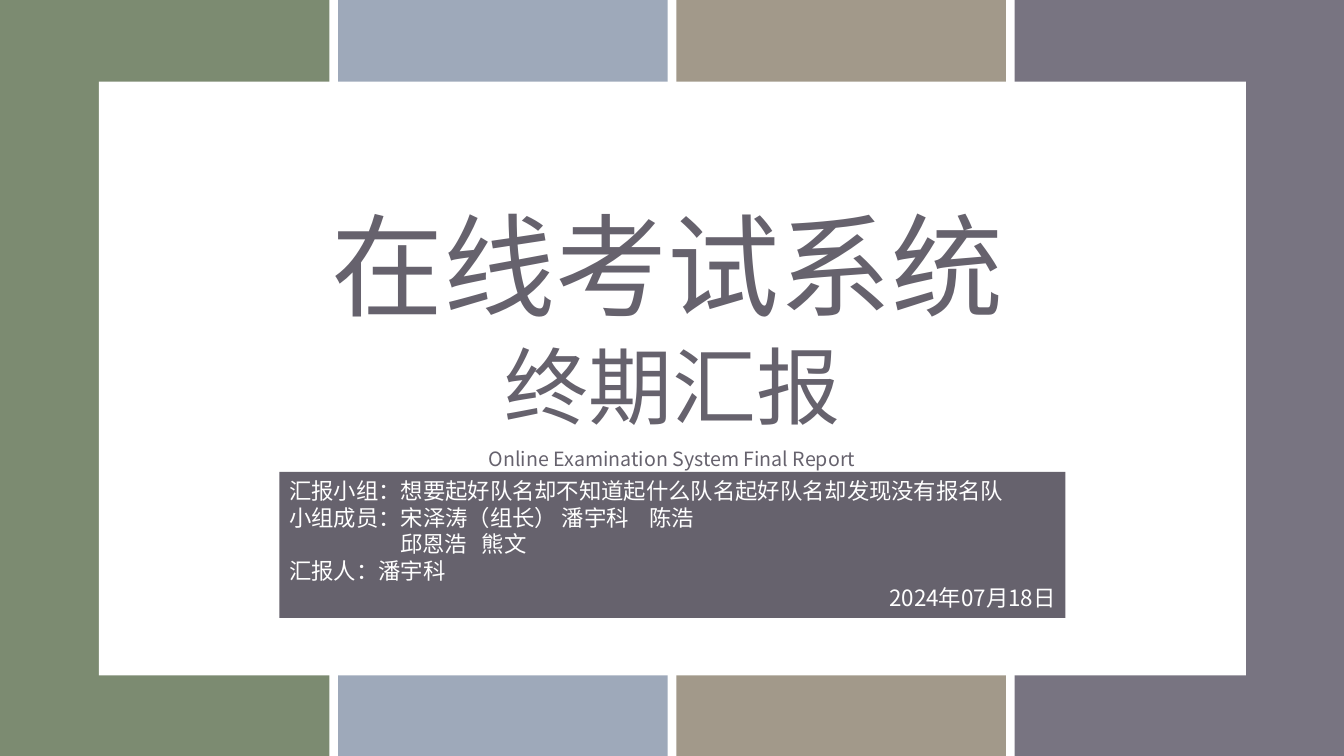
from dataclasses import dataclass

from lxml import etree
from pptx import Presentation
from pptx.dml.color import RGBColor as RGB
from pptx.enum.shapes import MSO_SHAPE as Shp
from pptx.enum.text import MSO_ANCHOR as Anchor, MSO_AUTO_SIZE as Fit, PP_ALIGN as Al
from pptx.oxml.ns import qn
from pptx.util import Cm, Pt

FONT = "Noto Sans CJK SC"
COLORS = {
    "green": "7C8B71",
    "blue": "9EA9BA",
    "sand": "A2998A",
    "mauve": "787481",
    "ink": "66626D",
    "white": "FFFFFF",
}
STRIPES = ["green", "blue", "sand", "mauve"]
SLIDE_W, SLIDE_H = 33.87, 19.05
GAP = 0.22


@dataclass
class Box:
    left: float
    top: float
    width: float
    height: float


@dataclass
class Line:
    text: str
    size: float
    color: str = "ink"
    align: Al = Al.CENTER
    spacing: float = 1.2
    tabs: tuple[float, ...] = ()


PANEL = Box(2.49, 2.06, 28.91, 14.96)
TITLE = Box(8.1, 4.83, 17.73, 3.68)
SUBTITLE = Box(4.8, 8.31, 24.28, 2.82)
TEAM = Box(7.04, 11.89, 19.81, 3.68)
ENGLISH = Box(4.8, 10.85, 24.28, 1.07)

TEAM_LINES = [
    Line("汇报小组：想要起好队名却不知道起什么队名起好队名却发现没有报名队", 16, "white", Al.LEFT),
    Line("小组成员：宋泽涛（组长） 潘宇科\t陈浩", 16, "white", Al.LEFT, tabs=(9.07,)),
    Line("\t邱恩浩\t熊文", 16, "white", Al.LEFT, tabs=(2.8, 4.85)),
    Line("汇报人：潘宇科", 16, "white", Al.LEFT),
    Line("2024年07月18日", 16, "white", Al.RIGHT),
]


def place(sp, box: Box) -> None:
    sp.left, sp.top = Cm(box.left), Cm(box.top)
    sp.width, sp.height = Cm(box.width), Cm(box.height)


def add_rect(shapes, box: Box, color: str):
    sp = shapes.add_shape(Shp.RECTANGLE, Cm(box.left), Cm(box.top), Cm(box.width), Cm(box.height))
    sp.shadow.inherit = False
    sp.fill.solid()
    sp.fill.fore_color.rgb = RGB.from_string(COLORS[color])
    sp.line.fill.background()
    return sp


def add_tabs(p, stops: tuple[float, ...]) -> None:
    tab_list = etree.SubElement(p._p.get_or_add_pPr(), qn("a:tabLst"))
    for stop in stops:
        etree.SubElement(tab_list, qn("a:tab"), pos=str(Cm(stop)), algn="l")


def write(sp, lines: list[Line]) -> None:
    tf = sp.text_frame
    tf.word_wrap = True
    tf.auto_size = Fit.NONE
    tf.vertical_anchor = Anchor.TOP
    for i, line in enumerate(lines):
        p = tf.paragraphs[0] if i == 0 else tf.add_paragraph()
        p.add_run().text = line.text
        p.alignment = line.align
        p.line_spacing = Pt(line.size * line.spacing)
        p.space_before = Pt(0)
        if line.tabs:
            add_tabs(p, line.tabs)
        p.font.size = Pt(line.size)
        p.font.color.rgb = RGB.from_string(COLORS[line.color])
        p.font.name = FONT
        latin = p._p.pPr.find(f"{qn('a:defRPr')}/{qn('a:latin')}")
        latin.addnext(etree.Element(qn("a:ea"), typeface=FONT))


def main() -> None:
    prs = Presentation()
    prs.slide_width, prs.slide_height = Cm(SLIDE_W), Cm(SLIDE_H)
    s = prs.slides.add_slide(prs.slide_layouts[0])
    title, subtitle = s.placeholders

    stripe_w = (SLIDE_W - GAP * (len(STRIPES) - 1)) / len(STRIPES)
    for i, color in enumerate(STRIPES):
        add_rect(s.shapes, Box(i * (stripe_w + GAP), 0, stripe_w, SLIDE_H), color)
    panel = add_rect(s.shapes, PANEL, "white")

    # Bring the placeholders in front of the panel
    panel.element.addnext(title.element)
    title.element.addnext(subtitle.element)
    place(title, TITLE)
    write(title, [Line("在线考试系统", 80, align=Al.JUSTIFY)])
    place(subtitle, SUBTITLE)
    write(subtitle, [Line("终期汇报", 60)])

    write(add_rect(s.shapes, TEAM, "ink"), TEAM_LINES)
    english = s.shapes.add_textbox(0, 0, 0, 0)
    place(english, ENGLISH)
    write(english, [Line("Online Examination System Final Report", 14, spacing=1.8)])
    prs.save("out.pptx")


if __name__ == "__main__":
    main()
